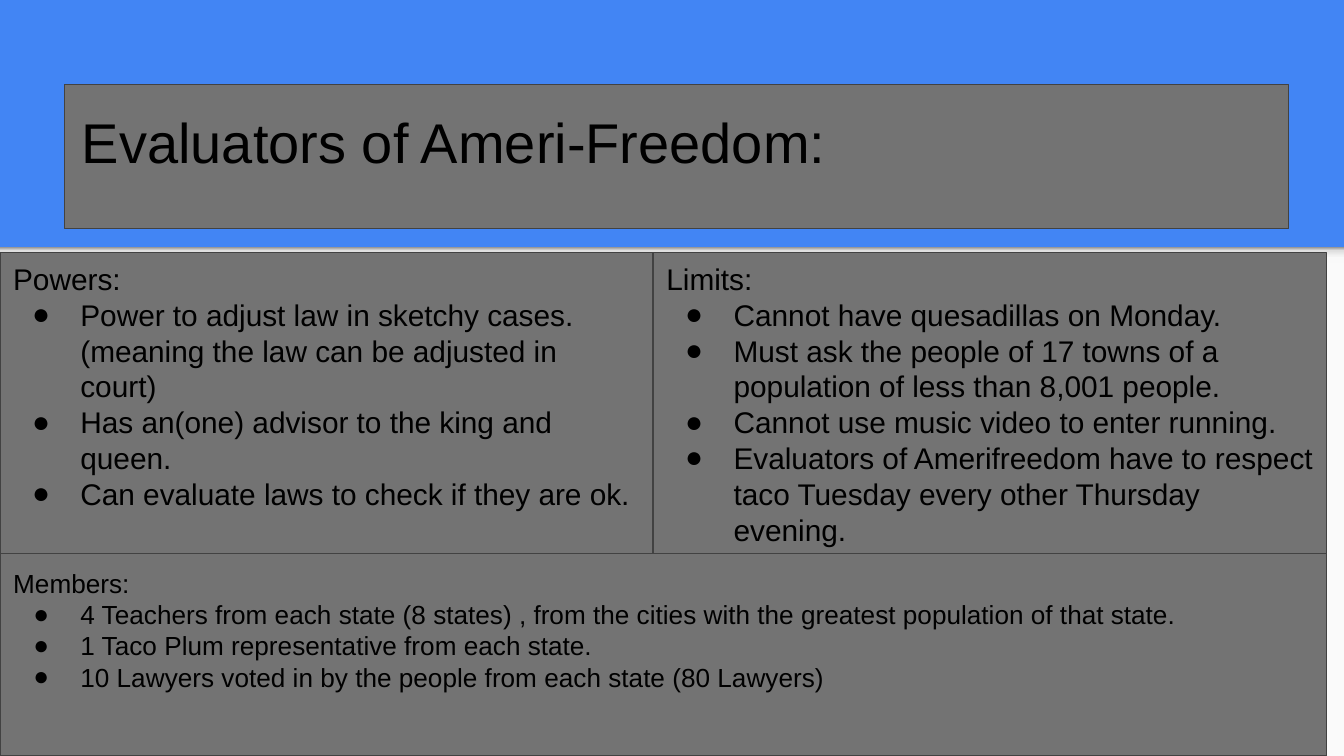
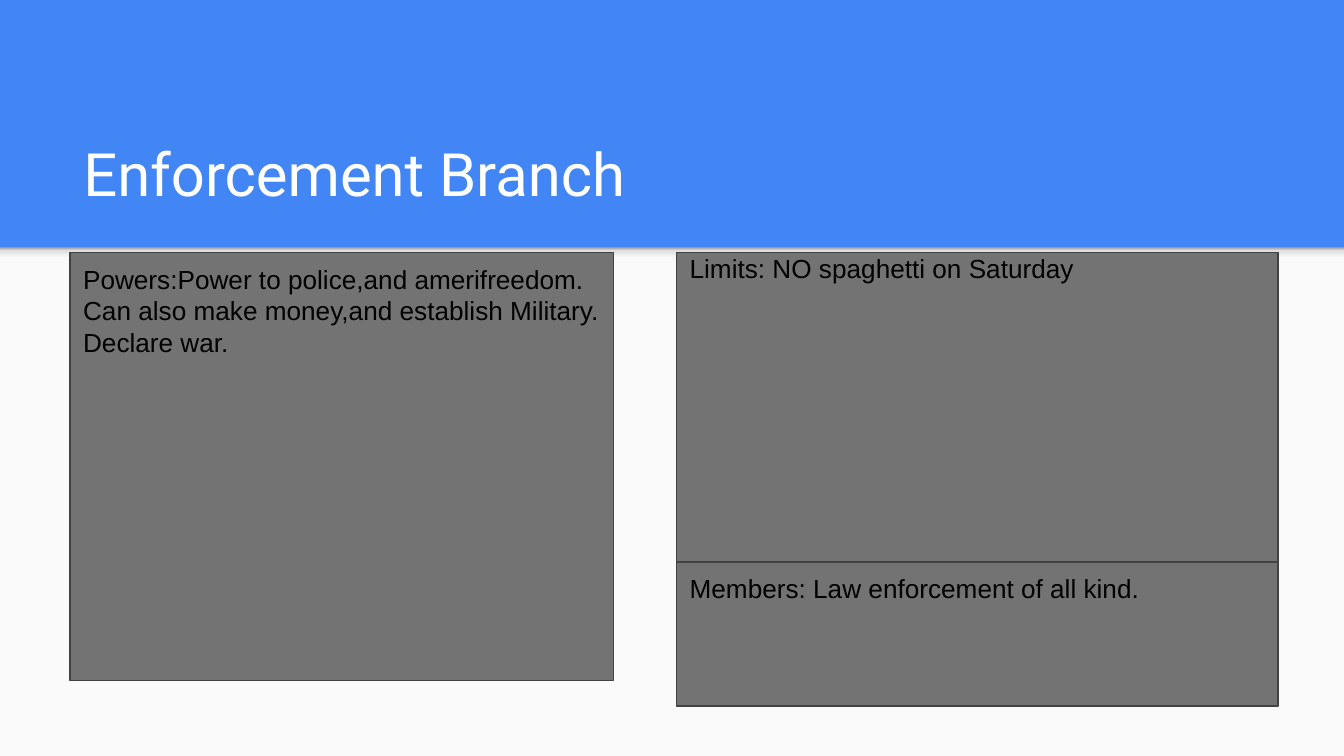
from dataclasses import dataclass

from lxml import etree
from pptx import Presentation
from pptx.dml.color import RGBColor
from pptx.enum.shapes import MSO_SHAPE
from pptx.enum.text import MSO_ANCHOR, MSO_AUTO_SIZE, PP_ALIGN
from pptx.oxml.ns import qn
from pptx.util import Inches, Pt

RECT = MSO_SHAPE.RECTANGLE
TOP, BOTTOM = MSO_ANCHOR.TOP, MSO_ANCHOR.BOTTOM
LEFT = PP_ALIGN.LEFT
NO_FIT = MSO_AUTO_SIZE.NONE
TITLE_ONLY = 5


@dataclass(frozen=True)
class Theme:
    """Colours, fonts and sizes that the slides share."""
    blue: str = "4285F4"
    paper: str = "FAFAFA"
    gray: str = "737373"
    edge: str = "424242"
    ink: str = "000000"
    white: str = "FFFFFF"
    fade: tuple = ((0, "F9F9F9"), (36, "F9F9F9"), (80, "DEDEDE"), (100, "999999"))
    body: str = "Arial"
    head: str = "Roboto"
    small: int = 14
    large: int = 16
    boxed: int = 30
    title: int = 32
    line: float = 0.75
    inset: float = 0.1


@dataclass(frozen=True)
class Box:
    """A rectangle in inches."""
    x: float
    y: float
    w: float
    h: float

    def share(self, x, y, w, h):
        """Return the box at the given shares of this one."""
        return Box(self.x + x * self.w, self.y + y * self.h, w * self.w, h * self.h)

    def place(self, shape):
        """Move a shape onto this box."""
        shape.left, shape.top = Inches(self.x), Inches(self.y)
        shape.width, shape.height = Inches(self.w), Inches(self.h)


THEME = Theme()
PAGE = Box(0, 0, 10, 5.625)
BAND = 1.84 / PAGE.h
BODY = 1.88 / PAGE.h


def color(code):
    """Turn a hex code into a colour."""
    return RGBColor.from_string(code)


def paint(shape, fill, edge=None):
    """Give a shape a plain fill and an optional edge."""
    shape.fill.solid()
    shape.fill.fore_color.rgb = color(fill)
    if edge:
        shape.line.color.rgb = color(edge)
        shape.line.width = Pt(THEME.line)
    else:
        shape.line.fill.background()


def rect(slide, box):
    """Add a rectangle without a shadow."""
    shape = slide.shapes.add_shape(RECT, 0, 0, 0, 0)
    box.place(shape)
    shape.shadow.inherit = False
    return shape


def style(para, font, size, ink):
    """Set the font and side of a paragraph."""
    para.alignment = LEFT
    para.font.name = font
    para.font.size = Pt(size)
    para.font.color.rgb = color(ink)


def frame(shape, anchor, side, top):
    """Set the wrap, anchor and margins of a shape's text."""
    text = shape.text_frame
    text.word_wrap = True
    text.auto_size = NO_FIT
    text.vertical_anchor = anchor
    text.margin_left = text.margin_right = Inches(side)
    text.margin_top, text.margin_bottom = Inches(top), Inches(THEME.inset)
    return text


def bullet(para, hang):
    """Give a paragraph a round bullet and a hanging indent."""
    props = para._p.get_or_add_pPr()
    props.set("marL", str(Inches(0.5)))
    props.set("indent", str(-Inches(hang)))
    marks = [etree.Element(qn("a:buClr")),
             etree.Element(qn("a:buFont"), typeface=THEME.body),
             etree.Element(qn("a:buChar"), char="●")]
    etree.SubElement(marks[0], qn("a:srgbClr"), val=THEME.ink)
    for spot, mark in enumerate(marks):
        props.insert(spot, mark)


def panel(slide, box, lines, size=THEME.small, top=0.08, hang=None):
    """Add a gray panel; lines after the first get bullets if hang is set."""
    shape = rect(slide, box)
    paint(shape, THEME.gray, THEME.edge)
    text = frame(shape, TOP, THEME.inset, top)
    for index, line in enumerate(lines):
        para = text.add_paragraph() if index else text.paragraphs[0]
        para.text = line
        style(para, THEME.body, size, THEME.ink)
        if index and hang:
            bullet(para, hang)


def title(slide, box, text, font, size, ink, anchor, side, top):
    """Move and format the title placeholder."""
    shape = slide.shapes.title
    box.place(shape)
    shape.text = text
    para = frame(shape, anchor, side, top).paragraphs[0]
    style(para, font, size, ink)
    return shape


def sheet(slide, box):
    """Draw the pale sheet and the fading strip along its top."""
    paint(rect(slide, box), THEME.paper)
    strip = rect(slide, box.share(0, 0, 1, 0.12 / box.h))
    strip.line.fill.background()
    strip.fill.gradient()
    strip.fill.gradient_angle = 90
    stops = strip._element.spPr.find(qn("a:gradFill")).find(qn("a:gsLst"))
    for stop in list(stops):
        stops.remove(stop)
    for spot, code in THEME.fade:
        stop = etree.SubElement(stops, qn("a:gs"), pos=str(spot * 1000))
        etree.SubElement(stop, qn("a:srgbClr"), val=code)


def start(deck):
    """Add a title-only slide with its sheet."""
    slide = deck.slides.add_slide(deck.slide_layouts[TITLE_ONLY])
    sheet(slide, PAGE.share(0, BAND, 1, 1 - BAND))
    return slide


def judges(deck):
    """Build the slide on the evaluators."""
    slide = start(deck)
    head = title(slide, PAGE.share(0.048, 0.112, 0.911, 0.19),
                 "Evaluators of Ameri-Freedom:", THEME.body, THEME.boxed,
                 THEME.ink, TOP, 0.13, 0.17)
    paint(head, THEME.gray, THEME.edge)
    area = PAGE.share(0, BODY, 0.987, 1 - BODY)
    split, row = 0.4924, 0.598
    panel(slide, area.share(0, 0, split, row), [
        "Powers:",
        "Power to adjust law in sketchy cases.(meaning the law can be adjusted in court)",
        "Has an(one) advisor to the king and queen.",
        "Can evaluate laws to check if they are ok.",
    ], THEME.large, 0.06, 0.36)
    panel(slide, area.share(split, 0, 1 - split, row), [
        "Limits:",
        "Cannot have quesadillas on Monday.",
        "Must ask the people of 17 towns of a population of less than 8,001 people.",
        "Cannot use music video to enter running.",
        "Evaluators of Amerifreedom have to respect taco Tuesday every other Thursday evening.",
    ], THEME.large, 0.06, 0.36)
    panel(slide, area.share(0, row, 1, 1 - row), [
        "Members:",
        "4 Teachers from each state (8 states) , from the cities with the greatest population of that state.",
        "1 Taco Plum representative from each state.",
        "10 Lawyers voted in by the people from each state (80 Lawyers)",
    ], top=THEME.inset, hang=0.35)


def force(deck):
    """Build the slide on the enforcement branch."""
    slide = start(deck)
    title(slide, PAGE.share(0.052, 0.144, 0.899, 0.15), "Enforcement Branch",
          THEME.head, THEME.title, THEME.white, BOTTOM, THEME.inset, THEME.inset)
    area = PAGE.share(0.052, BODY, 0.899, 0.6)
    split, row = 0.502, 0.682
    panel(slide, area.share(0, 0, 0.45, 0.943), [
        "Powers:Power to police,and amerifreedom.",
        "Can also make money,and establish Military.",
        "Declare war.",
    ])
    panel(slide, area.share(split, 0, 1 - split, row),
          ["Limits: NO spaghetti on Saturday"], top=0)
    panel(slide, area.share(split, row, 1 - split, 1 - row),
          ["Members: Law enforcement of all kind."])


def main():
    """Build and save the deck."""
    deck = Presentation()
    deck.slide_width, deck.slide_height = Inches(PAGE.w), Inches(PAGE.h)
    back = deck.slide_master.background.fill
    back.solid()
    back.fore_color.rgb = color(THEME.blue)
    judges(deck)
    force(deck)
    deck.save("out.pptx")


if __name__ == "__main__":
    main()
